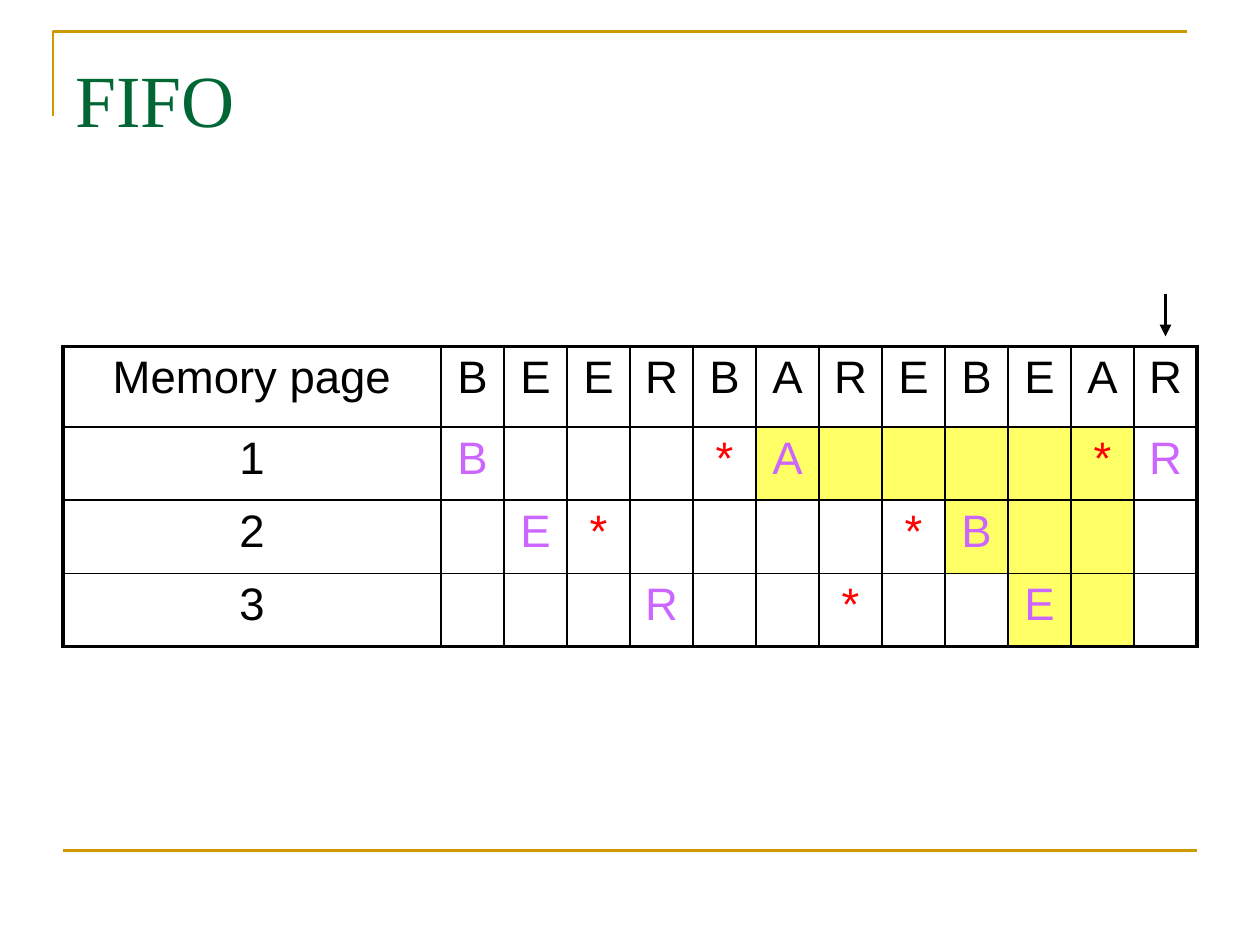
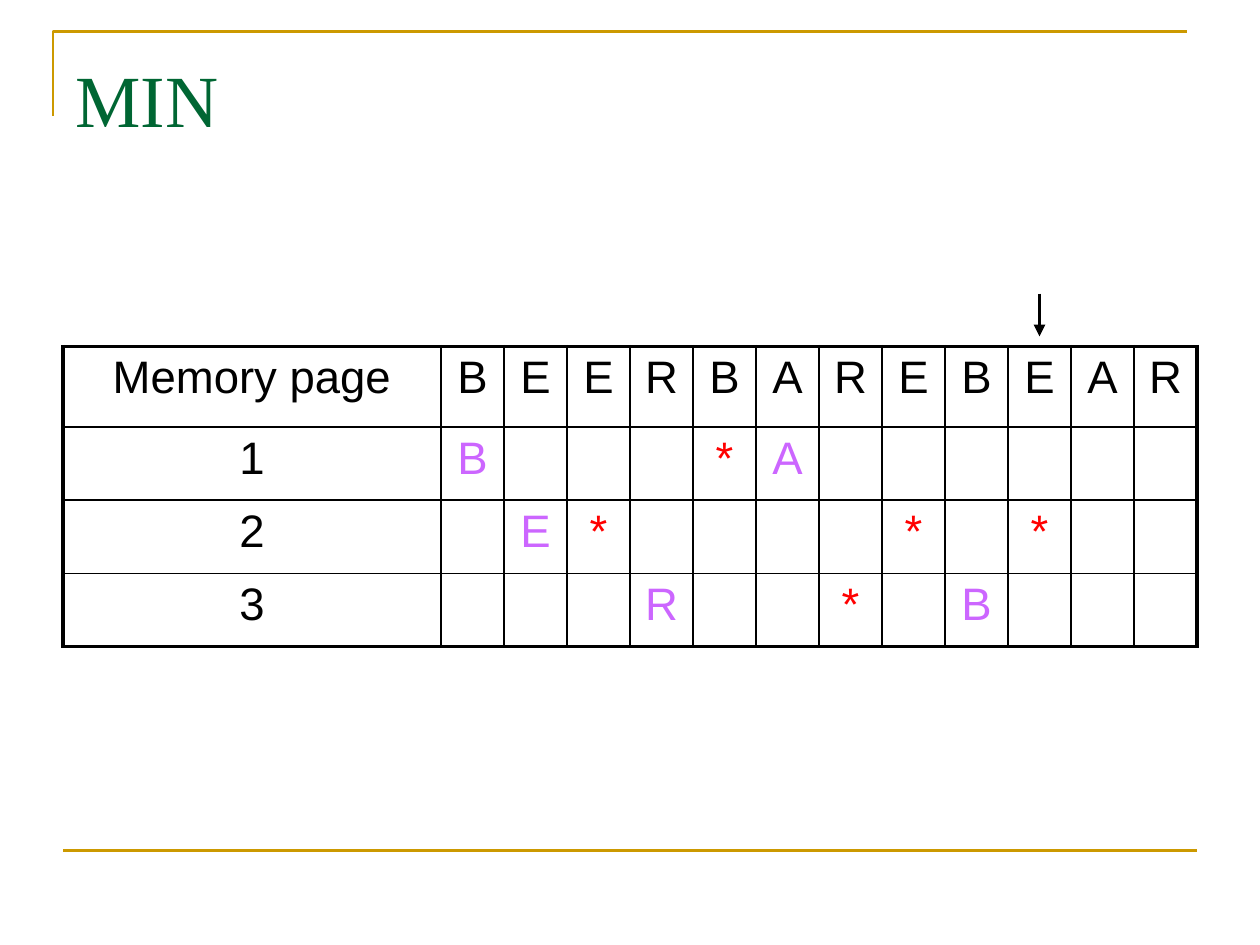
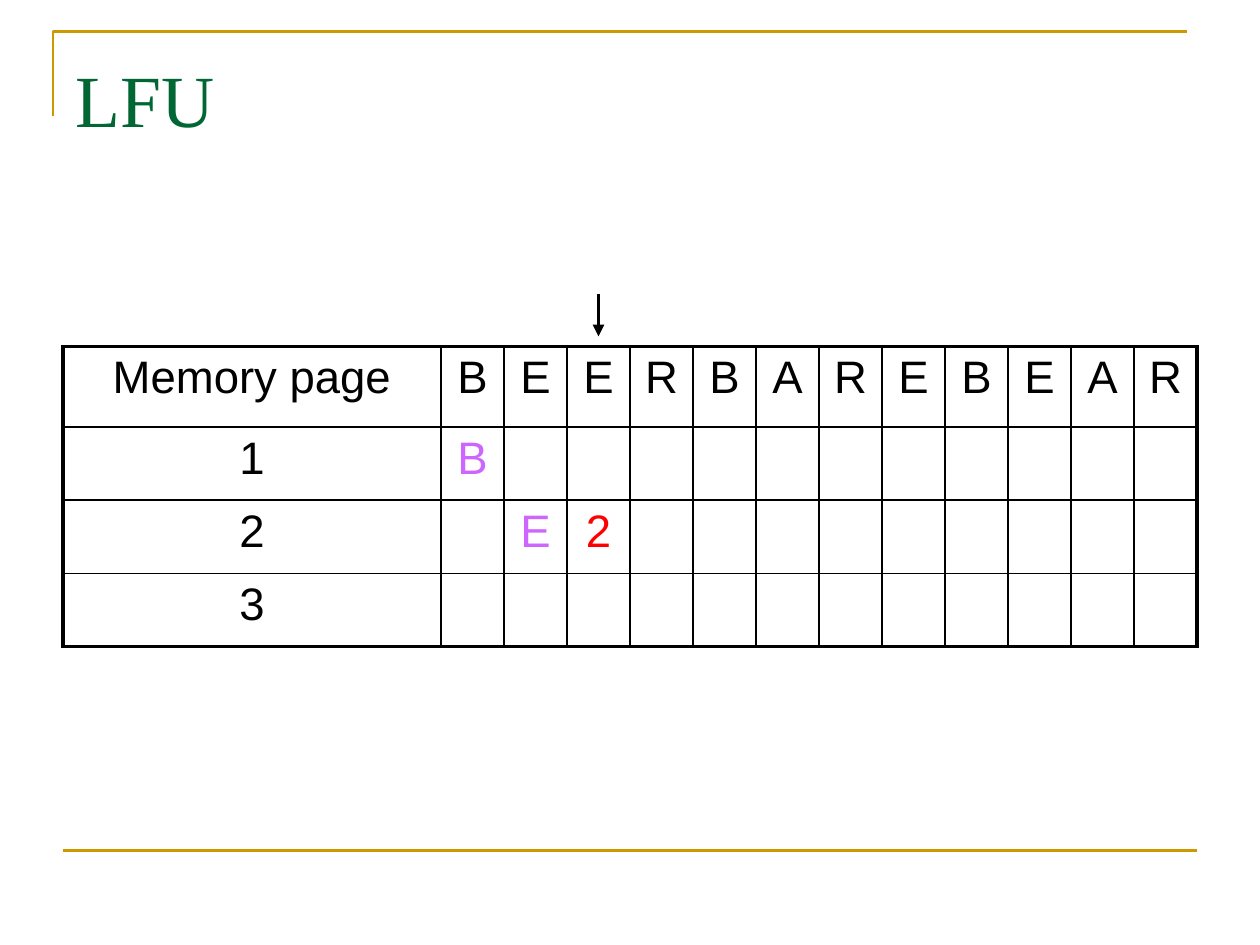
import pptx
import pptx.dml.color
import pptx.enum.shapes
import pptx.enum.text
import pptx.oxml
import pptx.oxml.ns
import pptx.util
from pptx.util import Inches

# Content: page slots over time, "." for an empty cell
HEADER = "Memory page"
REQUESTS = "BEERBAREBEAR"
SLIDES = [
    {"title": "FIFO", "step": 12,
     "slots": ["B...*A....*R", ".E*....*B...", "...R..*..E.."],
     "highlights": {1: range(6, 12), 2: range(9, 12), 3: range(10, 12)}},
    {"title": "MIN", "step": 10,
     "slots": ["B...*A......", ".E*....*.*..", "...R..*.B..."],
     "highlights": {}},
    {"title": "LFU", "step": 3,
     "slots": ["B...........", ".E2.........", "............"],
     "highlights": {}},
]

# Style
BLACK, GOLD, GREEN = "000000", "CC9900", "006633"
LOADED, HIT, HIGHLIGHT = "CC66FF", "FF0000", "FFFF66"
TITLE = {"size": pptx.util.Pt(42), "name": "Times New Roman"}
CELL = {"size": pptx.util.Pt(26), "name": "Arial"}
THICK, THIN = 2.25, 1

# Geometry in inches
LEFT, TOP = 0.5, 2.75
LABEL_W, STEP_W = 3, 0.5
ROW_H = [0.64, 0.58, 0.58, 0.58]


def rgb(color):
    return pptx.dml.color.RGBColor.from_string(color)


def write(tf, text, style, color):
    r = tf.paragraphs[0].add_run()
    r.text = text
    for name, value in style.items():
        setattr(r.font, name, value)
    r.font.color.rgb = rgb(color)


def set_line(shape, color, width):
    shape.line.color.rgb = rgb(color)
    shape.line.width = pptx.util.Pt(width)


def add_line(s, x1, y1, x2, y2, color, width):
    line = s.shapes.add_connector(pptx.enum.shapes.MSO_CONNECTOR.STRAIGHT,
                                  *map(Inches, (x1, y1, x2, y2)))
    set_line(line, color, width)
    pptx.oxml.ns.qn("a:effectLst")
    line._element.spPr.append(pptx.oxml.parse_xml(
        f"<a:effectLst {pptx.oxml.ns.nsdecls('a')}/>"))
    return line


def add_frame(s, title):
    # Gold corner and bottom rule
    builder = s.shapes.build_freeform(Inches(0.42), Inches(0.92))
    builder.add_line_segments([(Inches(0.42), Inches(0.25)),
                               (Inches(9.42), Inches(0.25))], close=False)
    corner = builder.convert_to_shape()
    corner.fill.background()
    corner.shadow.inherit = False
    set_line(corner, GOLD, 1.5)
    add_line(s, 0.5, 6.75, 9.5, 6.75, GOLD, 1.5)

    # Title
    tf = s.shapes.add_textbox(*map(Inches, (0.5, 0.3, 9, 1.25))).text_frame
    tf.word_wrap = True
    tf.margin_top = Inches(0.13)
    write(tf, title, TITLE, GREEN)


def set_borders(cell, widths):
    tcPr = cell._tc.get_or_add_tcPr()
    for i, (side, width) in enumerate(widths.items()):
        tcPr.insert(i, pptx.oxml.parse_xml(
            f"<a:ln{side} {pptx.oxml.ns.nsdecls('a')} w='{pptx.util.Pt(width)}'>"
            f"<a:solidFill><a:srgbClr val='{BLACK}'/></a:solidFill></a:ln{side}>"))


def text_color(row, col, text):
    if row == 0 or col == 0:
        return BLACK
    return LOADED if text.isalpha() else HIT


def add_page_table(s, slots, highlights):
    rows = [[HEADER, *REQUESTS]]
    rows += [[str(n), *slot] for n, slot in enumerate(slots, 1)]
    col_w = [LABEL_W] + [STEP_W] * len(REQUESTS)
    last_row, last_col = len(rows) - 1, len(col_w) - 1
    table = s.shapes.add_table(
        len(rows), len(col_w),
        *map(Inches, (LEFT, TOP, sum(col_w), sum(ROW_H)))).table
    table.first_row = table.horz_banding = False
    for column, width in zip(table.columns, col_w):
        column.width = Inches(width)
    for table_row, height in zip(table.rows, ROW_H):
        table_row.height = Inches(height)

    for i, row in enumerate(rows):
        for j, text in enumerate(row):
            cell = table.cell(i, j)
            if j in highlights.get(i, ()):
                cell.fill.solid()
                cell.fill.fore_color.rgb = rgb(HIGHLIGHT)
            else:
                cell.fill.background()
            set_borders(cell, {"L": THICK if j == 0 else THIN,
                               "R": THICK if j == last_col else THIN,
                               "T": THICK if i == 0 else THIN,
                               "B": THICK if i == last_row else THIN})
            if text != ".":
                tf = cell.text_frame
                tf.paragraphs[0].alignment = pptx.enum.text.PP_ALIGN.CENTER
                write(tf, text, CELL, text_color(i, j, text))


def add_step_arrow(s, step):
    x = LEFT + LABEL_W + (step - 0.5) * STEP_W
    arrow = add_line(s, x, 2.33, x, 2.67, BLACK, THICK)
    arrow.line._get_or_add_ln().append(pptx.oxml.parse_xml(
        f"<a:tailEnd {pptx.oxml.ns.nsdecls('a')} type='triangle'/>"))


def main():
    prs = pptx.Presentation()
    prs.slide_width, prs.slide_height = Inches(10), Inches(7.5)
    for page in SLIDES:
        s = prs.slides.add_slide(prs.slide_layouts[6])
        add_frame(s, page["title"])
        add_page_table(s, page["slots"], page["highlights"])
        add_step_arrow(s, page["step"])
    prs.save("out.pptx")


if __name__ == "__main__":
    main()
